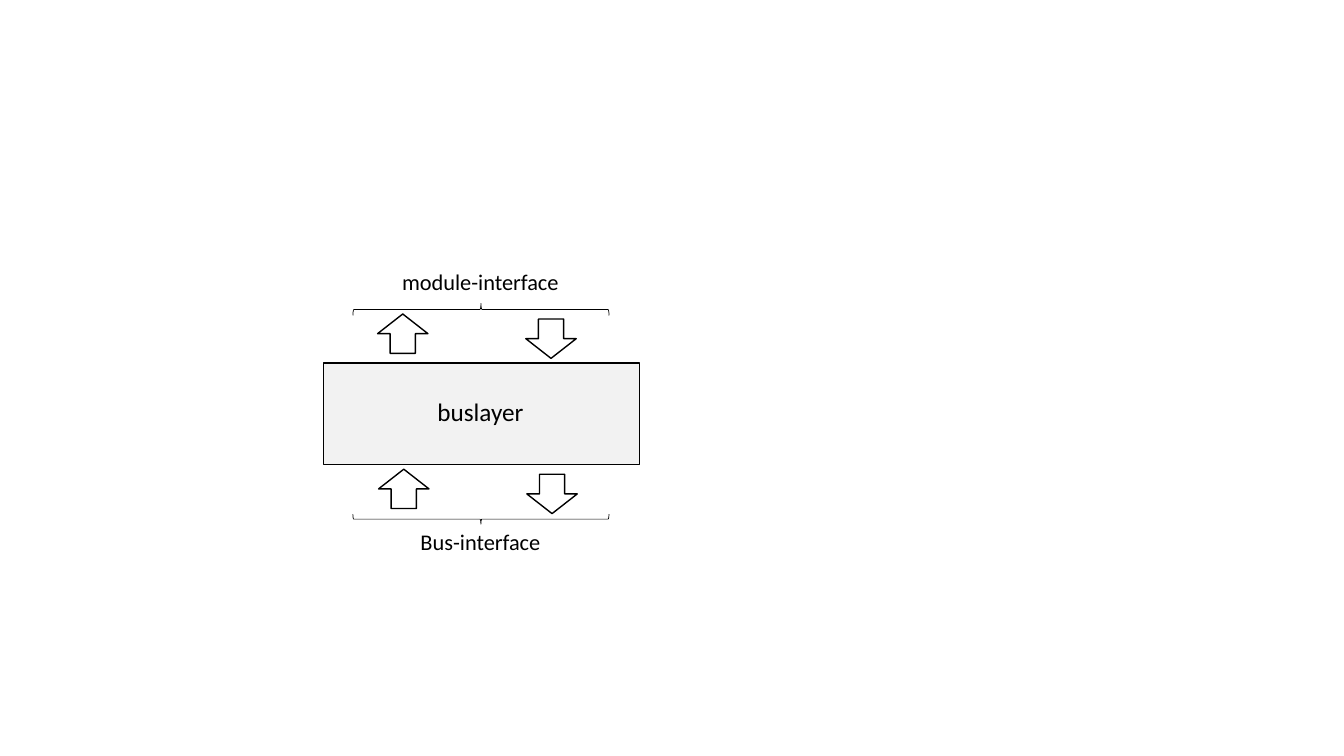
from dataclasses import dataclass

from pptx import Presentation
from pptx.dml.color import RGBColor
from pptx.enum.shapes import MSO_SHAPE as Preset
from pptx.enum.text import MSO_ANCHOR as Anchor, MSO_AUTO_SIZE as AutoSize, PP_ALIGN as Align
from pptx.util import Inches, Pt


@dataclass(frozen=True)
class Theme:
    """Colours, font, type sizes and line widths of the slide."""
    ink: str = "000000"
    panel: str = "F2F2F2"
    paper: str = "FFFFFF"
    font: str = "Calibri"
    title_size: int = 18
    label_size: int = 16
    outline: float = 1
    hairline: float = 0.5


def write_text(frame, text, *, font, size, color, align=Align.CENTER):
    """Write one formatted line into a text frame."""
    para = frame.paragraphs[0]
    para.alignment = align
    span = para.add_run()
    span.text = text
    span.font.name = font
    span.font.size = Pt(size)
    span.font.color.rgb = RGBColor.from_string(color)


class Diagram:
    """Draws interface diagram elements on one slide."""

    def __init__(self, page, theme):
        """Keep the slide and its style."""
        self.page = page
        self.theme = theme

    def shape(self, preset, left, top, width, height, *, turn=0, fill=None, line_width=1):
        """Add an outlined preset shape, sized before it is turned."""
        box = self.page.shapes.add_shape(
            preset, Inches(left), Inches(top), Inches(width), Inches(height))
        box.rotation = turn
        box.shadow.inherit = False
        if fill:
            box.fill.solid()
            box.fill.fore_color.rgb = RGBColor.from_string(fill)
        else:
            box.fill.background()
        box.line.color.rgb = RGBColor.from_string(self.theme.ink)
        box.line.width = Pt(line_width)

    def layer(self, left, top, width, height):
        """Add the shaded layer block."""
        self.shape(Preset.RECTANGLE, left, top, width, height, turn=90,
                   fill=self.theme.panel, line_width=self.theme.outline)

    def arrow(self, left, top, *, turn):
        """Add a block arrow: 90 points down, 270 points up."""
        self.shape(Preset.RIGHT_ARROW, left, top, 0.39, 0.5, turn=turn,
                   fill=self.theme.paper, line_width=self.theme.outline)

    def brace(self, left, top, depth, *, turn):
        """Add a thin brace spanning a pair of arrows."""
        self.shape(Preset.LEFT_BRACE, left, top, depth, 2.54, turn=turn,
                   line_width=self.theme.hairline)

    def label(self, text, left, top, width, height, *, size):
        """Add a centred caption that does not wrap."""
        box = self.page.shapes.add_textbox(
            Inches(left), Inches(top), Inches(width), Inches(height))
        frame = box.text_frame
        frame.word_wrap = False
        frame.auto_size = AutoSize.SHAPE_TO_FIT_TEXT
        frame.vertical_anchor = Anchor.TOP
        write_text(frame, text, font=self.theme.font, size=size, color=self.theme.ink)


def main():
    """Build the bus layer slide and save it."""
    deck = Presentation()
    deck.slide_width, deck.slide_height = Inches(13.33), Inches(7.5)
    theme = Theme()
    diagram = Diagram(deck.slides.add_slide(deck.slide_layouts[6]), theme)

    diagram.layer(4.27, 2.54, 1.01, 3.13)
    diagram.label("buslayer", 4.22, 3.88, 1.09, 0.4, size=theme.title_size)

    diagram.brace(4.71, 1.8, 0.12, turn=90)
    diagram.brace(4.72, 3.88, 0.1, turn=270)
    diagram.label("module-interface", 3.88, 2.61, 1.77, 0.37, size=theme.label_size)
    diagram.label("Bus-interface", 4.06, 5.19, 1.41, 0.37, size=theme.label_size)

    for left, top in ((3.8, 3.06), (3.81, 4.6)):
        diagram.arrow(left, top, turn=270)
        diagram.arrow(left + 1.47, top + 0.05, turn=90)

    deck.save("out.pptx")


main()
